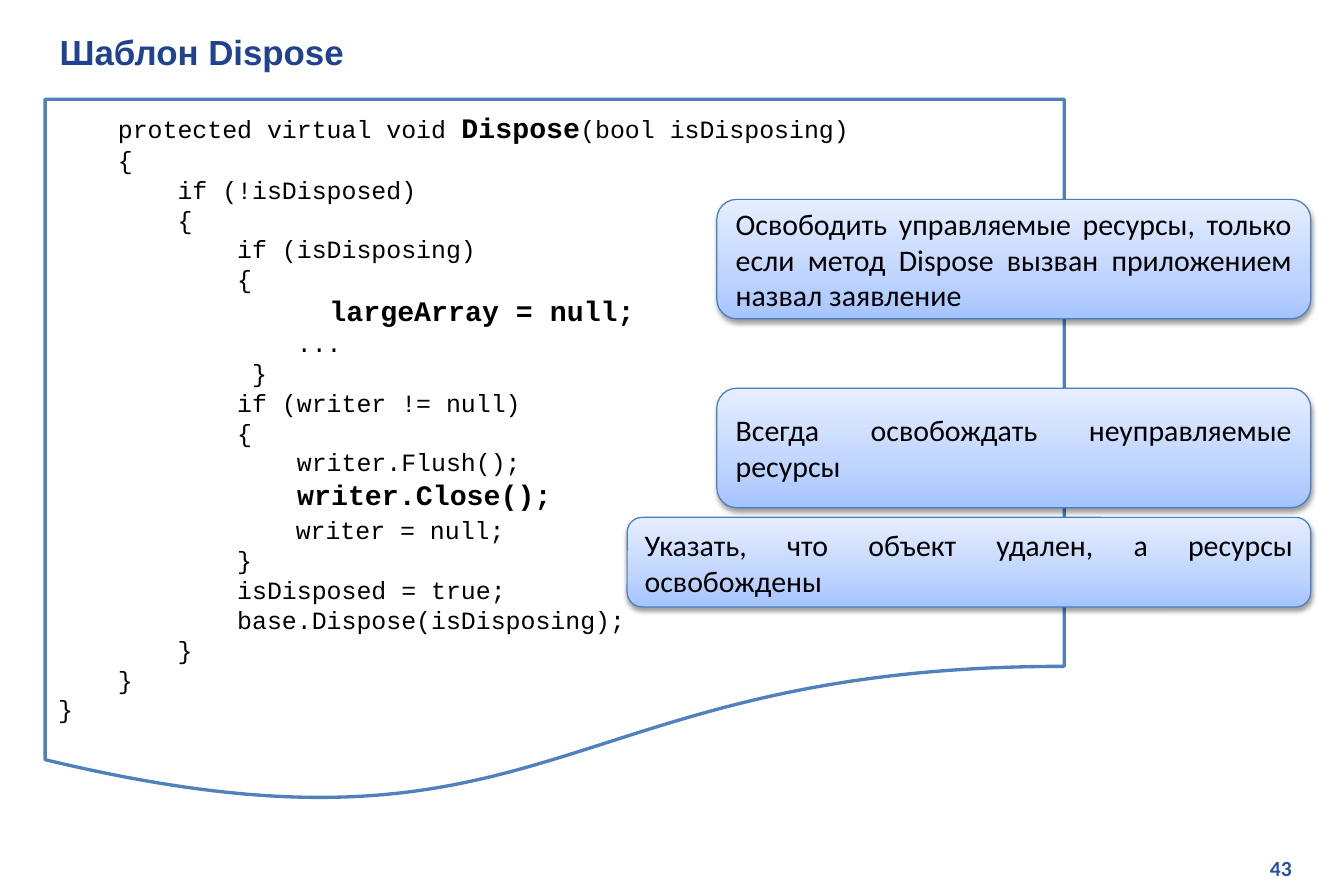
from dataclasses import dataclass

from lxml import etree
from pptx import Presentation
from pptx.dml.color import RGBColor
from pptx.enum import shapes, text
from pptx.oxml import ns
from pptx.util import Pt


@dataclass(frozen=True)
class Theme:
    head: str = "21438F"
    page: str = "2750AB"
    ink: str = "000000"
    paper: str = "FFFFFF"
    frame: str = "4F81BD"
    edge: str = "4B7EBC"
    blend: tuple = ((0, "A4C4FF"), (35, "BFD4FF"), (100, "E6EEFF"))
    sans: str = "Arial"
    body: str = "Calibri"
    mono: str = "Courier New"
    title: float = 21
    note: float = 18
    bold: float = 17
    code: float = 15
    num: float = 13


LOOK = Theme()

CODE = """\
    protected virtual void *Dispose*(bool isDisposing)
    {
        if (!isDisposed)
        {
            if (isDisposing)
            {
*                largeArray = null;*
                ...
             }
            if (writer != null)
            {
                writer.Flush();
                *writer.Close();*
*              *writer = null;
            }
            isDisposed = true;
            base.Dispose(isDisposing);
        }
    }
}"""

NOTES = (
    ("Освободить управляемые ресурсы, только если метод Dispose вызван "
     "приложением назвал заявление", (432, 120.2, 358, 72)),
    ("Всегда освобождать неуправляемые ресурсы", (432, 234, 358, 72)),
    ("Указать, что объект удален, а ресурсы освобождены", (378, 311.8, 412, 54)),
)


def tint(code):
    return RGBColor.from_string(code)


def style(run, face, size, color, bold=False):
    font = run.font
    font.name, font.size, font.bold = face, Pt(size), bold
    font.color.rgb = tint(color)


def pad(frame, anchor, top=4):
    frame.word_wrap = True
    frame.auto_size = text.MSO_AUTO_SIZE.NONE
    frame.vertical_anchor = anchor
    frame.margin_left = frame.margin_right = Pt(7.9)
    frame.margin_top, frame.margin_bottom = Pt(top), Pt(4)


def add_title(slide, box, words):
    title = slide.shapes.title
    title.left, title.top, title.width, title.height = map(Pt, box)
    frame = title.text_frame
    pad(frame, text.MSO_ANCHOR.TOP)
    frame.text = words
    para = frame.paragraphs[0]
    para.alignment = text.PP_ALIGN.LEFT
    style(para.runs[0], LOOK.sans, LOOK.title, LOOK.head, True)


def add_code(slide, box, code):
    sheet = slide.shapes.add_shape(
        shapes.MSO_SHAPE.FLOWCHART_DOCUMENT, *map(Pt, box))
    sheet.shadow.inherit = False
    sheet.fill.solid()
    sheet.fill.fore_color.rgb = tint(LOOK.paper)
    sheet.line.color.rgb = tint(LOOK.frame)
    sheet.line.width = Pt(2)
    frame = sheet.text_frame
    pad(frame, text.MSO_ANCHOR.TOP, 6.8)
    for row, line in enumerate(code.split("\n")):
        para = frame.add_paragraph() if row else frame.paragraphs[0]
        para.alignment = text.PP_ALIGN.LEFT
        for turn, part in enumerate(line.split("*")):
            if part:
                run = para.add_run()
                run.text = part
                bold = turn % 2 == 1
                size = LOOK.bold if bold else LOOK.code
                style(run, LOOK.mono, size, LOOK.ink, bold)


def child(node, tag, **attrs):
    return etree.SubElement(node, ns.qn(tag), attrs)


def blend(shape):
    shape.fill.gradient()
    shape.fill.gradient_angle = 90
    stops = shape.element.spPr.find(".//" + ns.qn("a:gsLst"))
    for stop in list(stops):
        stops.remove(stop)
    for place, color in LOOK.blend:
        stop = child(stops, "a:gs", pos=str(place * 1000))
        child(stop, "a:srgbClr", val=color)


def shade(shape):
    shape.shadow.inherit = False
    effect = shape.element.spPr.find(ns.qn("a:effectLst"))
    cast = child(effect, "a:outerShdw", blurRad=str(Pt(3.1)),
                 dist=str(Pt(1.6)), dir="5400000", rotWithShape="0")
    color = child(cast, "a:srgbClr", val=LOOK.ink)
    child(color, "a:alpha", val="38000")


def add_note(slide, box, words):
    note = slide.shapes.add_shape(
        shapes.MSO_SHAPE.ROUNDED_RECTANGLE, *map(Pt, box))
    blend(note)
    note.line.color.rgb = tint(LOOK.edge)
    note.line.width = Pt(0.75)
    shade(note)
    frame = note.text_frame
    pad(frame, text.MSO_ANCHOR.MIDDLE)
    frame.text = words
    para = frame.paragraphs[0]
    para.alignment = text.PP_ALIGN.JUSTIFY
    para.space_after = Pt(11.1)
    style(para.runs[0], LOOK.body, LOOK.note, LOOK.ink)


def add_page(slide, box, words):
    frame = slide.shapes.add_textbox(*map(Pt, box)).text_frame
    pad(frame, text.MSO_ANCHOR.TOP)
    frame.text = words
    para = frame.paragraphs[0]
    para.alignment = text.PP_ALIGN.RIGHT
    style(para.runs[0], LOOK.body, LOOK.num, LOOK.page, True)


def main():
    deck = Presentation()
    deck.slide_width, deck.slide_height = Pt(810), Pt(540)
    slide = deck.slides.add_slide(deck.slide_layouts.get_by_name("Title Only"))
    add_page(slide, (615, 511.2, 171.4, 24.5), "43")
    add_title(slide, (28, 14.4, 773.3, 28.8), "Шаблон Dispose")
    add_code(slide, (27.2, 59.8, 614.2, 426.2), CODE)
    for words, box in NOTES:
        add_note(slide, box, words)
    deck.save("out.pptx")


if __name__ == "__main__":
    main()
